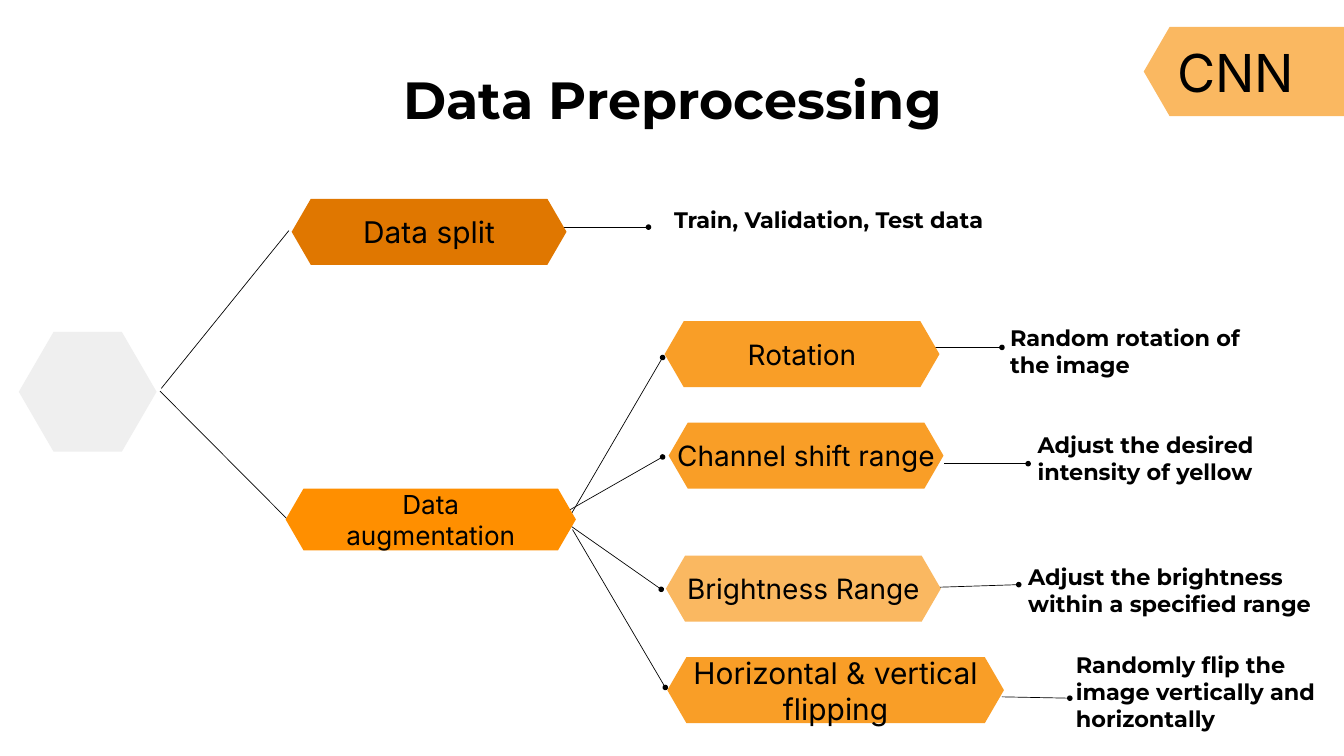
from dataclasses import dataclass

from lxml.etree import SubElement
from pptx import Presentation
from pptx.dml.color import RGBColor
from pptx.enum.shapes import MSO_CONNECTOR
from pptx.enum.text import MSO_ANCHOR, MSO_AUTO_SIZE, PP_ALIGN
from pptx.oxml.ns import qn
from pptx.util import Inches, Pt


@dataclass(frozen=True)
class Theme:
    """Colours, fonts and type sizes of the slide."""
    ink: str = "000000"
    root: str = "EFEFEF"
    split: str = "E07700"
    augmentation: str = "FF8F00"
    step: str = "F99E27"
    light: str = "FAB861"
    label_font: str = "Inter"
    note_font: str = "Montserrat"
    title_size: int = 56
    large_size: int = 32
    step_size: int = 30
    small_size: int = 28
    note_size: int = 24
    leading: float = 1.2
    line_width: float = 0.75


THEME = Theme()
WIDTH, HEIGHT = Inches(20), Inches(11.25)
COLUMNS, ROWS = 20, 11.25
TIP_RATIO = 0.29
LABEL_MARGIN = 0.06


def across(columns):
    """Turn grid columns into a length."""
    return round(WIDTH * columns / COLUMNS)


def down(rows):
    """Turn grid rows into a length."""
    return round(HEIGHT * rows / ROWS)


def write(frame, text, font, size, align, bold=False):
    """Fill a text frame and format every paragraph alike."""
    frame.word_wrap = True
    frame.text = text
    for paragraph in frame.paragraphs:
        paragraph.alignment = align
        paragraph.line_spacing = Pt(size * THEME.leading)
        for span in paragraph.runs:
            span.font.name = font
            span.font.size = Pt(size)
            span.font.bold = bold
            span.font.color.rgb = RGBColor.from_string(THEME.ink)


def set_margins(frame, left, other):
    """Set the left margin and the three others."""
    frame.margin_left = across(left)
    frame.margin_right = across(other)
    frame.margin_top = frame.margin_bottom = down(other)


def add_note(page, place, text, size=THEME.note_size, align=PP_ALIGN.LEFT):
    """Add bold text in a box without margins."""
    left, top, width, height = place
    box = page.shapes.add_textbox(across(left), down(top), across(width), down(height))
    set_margins(box.text_frame, 0, 0)
    write(box.text_frame, text, THEME.note_font, size, align, bold=True)
    box.text_frame.auto_size = MSO_AUTO_SIZE.SHAPE_TO_FIT_TEXT


def add_hexagon(page, place, fill, text="", size=THEME.step_size,
                align=PP_ALIGN.CENTER, indent=LABEL_MARGIN):
    """Add a hexagon with pointed left and right ends and a label."""
    left, top, width, height = place
    right, bottom, middle = left + width, top + height, top + height / 2
    tip = height * TIP_RATIO
    corners = [(left + tip, top), (right - tip, top), (right, middle),
               (right - tip, bottom), (left + tip, bottom)]
    builder = page.shapes.build_freeform(across(left), down(middle))
    builder.add_line_segments([(across(x), down(y)) for x, y in corners])
    hexagon = builder.convert_to_shape()
    hexagon.shadow.inherit = False
    hexagon.fill.solid()
    hexagon.fill.fore_color.rgb = RGBColor.from_string(fill)
    hexagon.line.fill.background()
    if text:
        hexagon.text_frame.vertical_anchor = MSO_ANCHOR.MIDDLE
        set_margins(hexagon.text_frame, indent, LABEL_MARGIN)
        write(hexagon.text_frame, text, THEME.label_font, size, align)


def add_link(page, start, end, dot=True):
    """Add a thin line, with a dot at its end if wanted."""
    link = page.shapes.add_connector(
        MSO_CONNECTOR.STRAIGHT, across(start[0]), down(start[1]), across(end[0]), down(end[1]))
    link.line.color.rgb = RGBColor.from_string(THEME.ink)
    link.line.width = Pt(THEME.line_width)
    if dot:
        SubElement(link.line._get_or_add_ln(), qn("a:tailEnd"), type="oval")
    SubElement(link._element.spPr, qn("a:effectLst"))


def main():
    """Build the slide and save it."""
    deck = Presentation()
    deck.slide_width, deck.slide_height = WIDTH, HEIGHT
    page = deck.slides.add_slide(deck.slide_layouts[6])

    add_note(page, (1.1, 1, 17.82, 1.05), "Data Preprocessing",
             THEME.title_size, PP_ALIGN.CENTER)

    root_links = [((2.4, 5.78), (4.3, 3.43)), ((2.38, 5.82), (4.3, 7.75))]
    dotted_links = [
        ((8.5, 7.65), (9.86, 5.32)), ((8.44, 7.61), (9.86, 6.8)),
        ((8.44, 7.79), (9.84, 8.77)), ((8.52, 7.88), (9.9, 10.23)),
        ((8.4, 3.38), (9.65, 3.38)), ((13.66, 5.17), (14.91, 5.17)),
        ((14.05, 6.9), (15.3, 6.9)), ((13.93, 8.74), (15.16, 8.7)),
        ((14.91, 10.37), (15.92, 10.39)),
    ]
    for start, end in root_links:
        add_link(page, start, end, dot=False)
    for start, end in dotted_links:
        add_link(page, start, end)

    add_hexagon(page, (0.28, 4.94, 2.05, 1.78), THEME.root)
    add_hexagon(page, (4.25, 7.27, 4.32, 0.92), THEME.augmentation,
                "Data\naugmentation", THEME.small_size)
    add_hexagon(page, (17.02, 0.4, 4.09, 1.33), THEME.light, "CNN",
                THEME.title_size, PP_ALIGN.LEFT, indent=0.5)

    steps = [
        (4.34, 2.96, 4.09, THEME.split, THEME.large_size, "Data split",
         (10.03, 3.07, 5.22, 0.77), "Train, Validation, Test data"),
        (9.89, 4.78, 4.09, THEME.step, THEME.step_size, "Rotation",
         (15.03, 4.82, 3.91, 0.71), "Random rotation of the image"),
        (9.95, 6.29, 4.09, THEME.step, THEME.step_size, "Channel shift range",
         (15.44, 6.42, 4.63, 0.77), "Adjust the desired intensity of yellow"),
        (9.91, 8.27, 4.09, THEME.light, THEME.step_size, "Brightness Range",
         (15.3, 8.38, 4.38, 0.78), "Adjust the brightness within a specified range"),
        (9.93, 9.78, 5.01, THEME.step, THEME.large_size, "Horizontal & vertical flipping",
         (16.01, 9.69, 3.67, 1.18), "Randomly flip the image vertically and horizontally"),
    ]
    for left, top, width, fill, size, label, note_place, note in steps:
        add_hexagon(page, (left, top, width, 0.98), fill, label, size)
        add_note(page, note_place, note)

    deck.save("out.pptx")


if __name__ == "__main__":
    main()
